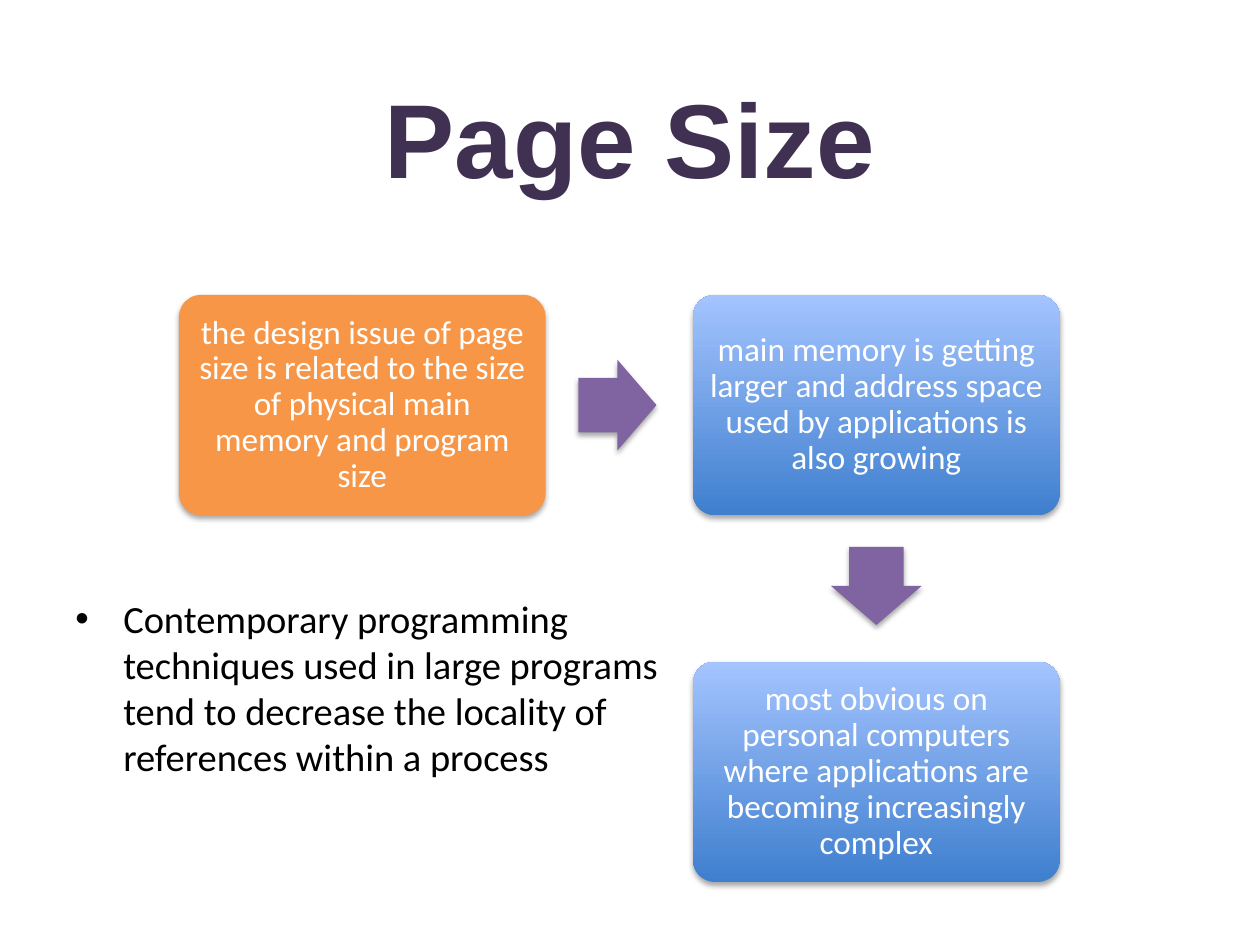
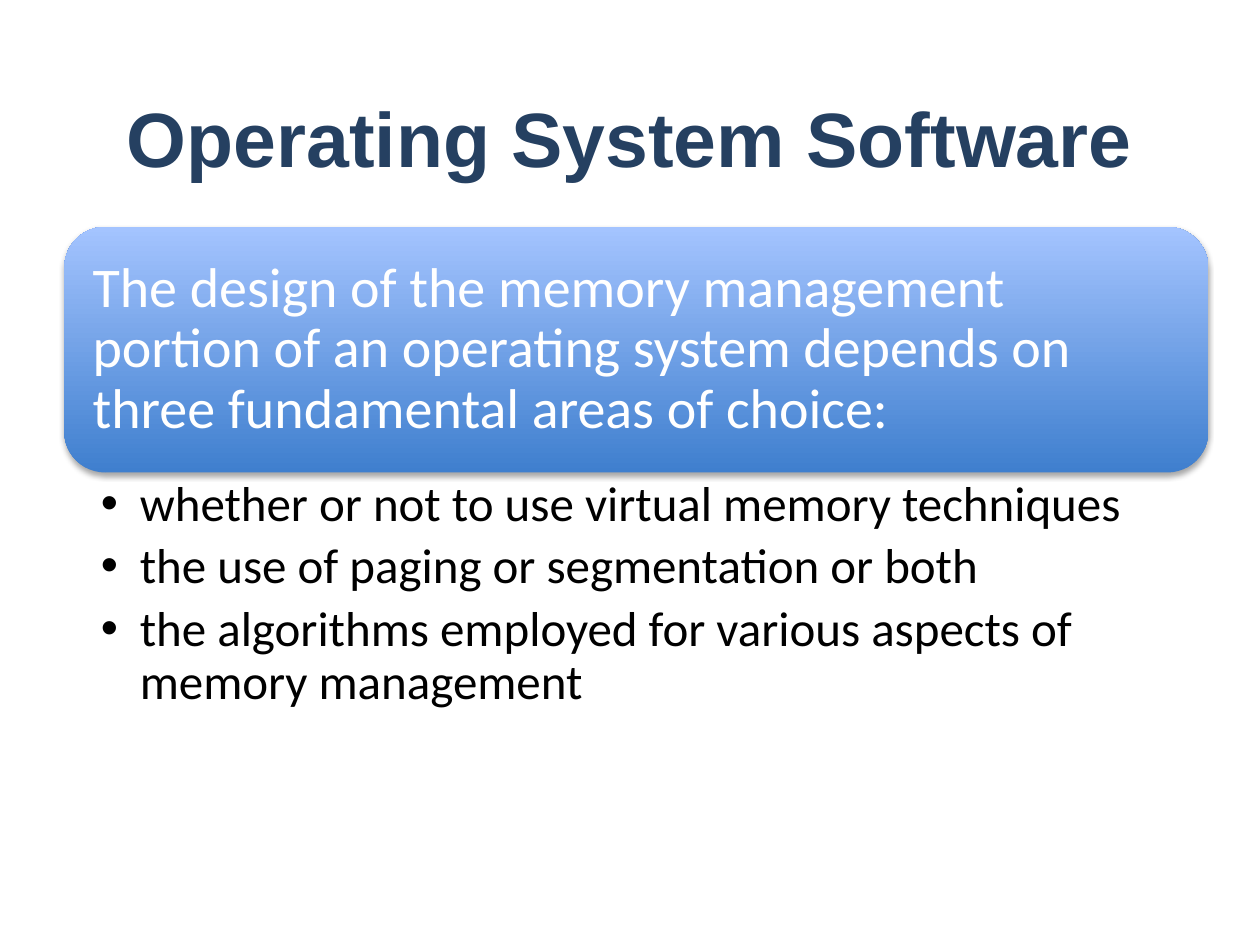
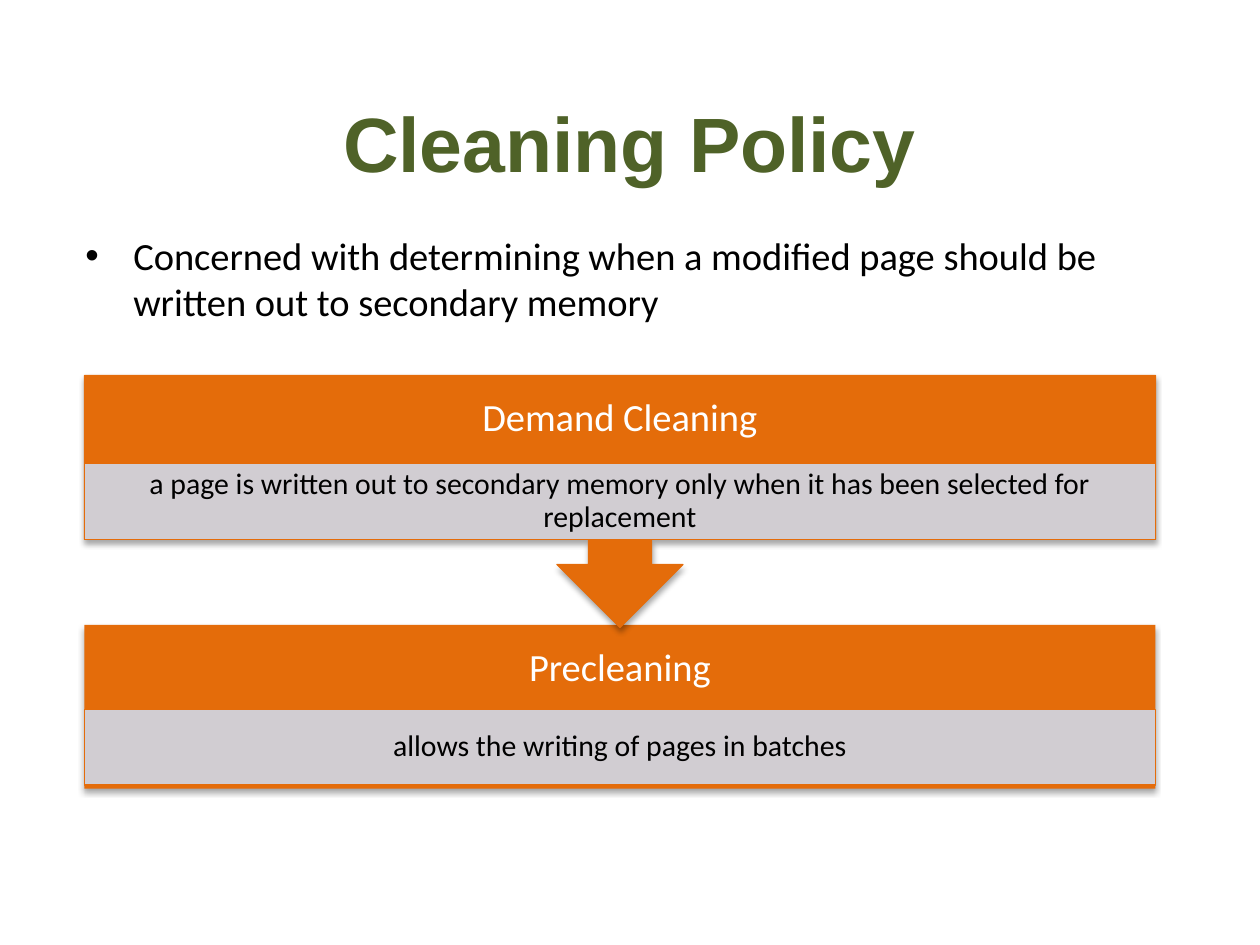
import pptx
import pptx.util
import pptx.dml.color
import pptx.enum.shapes
import pptx.enum.text
import pptx.oxml
import pptx.oxml.ns
from lxml import etree
from dataclasses import dataclass

Inches, Pt = pptx.util.Inches, pptx.util.Pt
qn = pptx.oxml.ns.qn
SHAPE = pptx.enum.shapes.MSO_SHAPE
ALIGN = pptx.enum.text.PP_ALIGN
ANCHOR = pptx.enum.text.MSO_ANCHOR


@dataclass(frozen=True)
class Theme:
    title_font: str = "Arial"
    body_font: str = "Calibri"
    black: str = "000000"
    white: str = "FFFFFF"
    purple: str = "403152"
    navy: str = "254061"
    green: str = "4F6228"
    orange: str = "F79646"
    deep_orange: str = "E46C0A"
    violet: str = "8064A2"
    pale_blue: str = "D0D8E8"
    blue_gradient: tuple = ("3F7FCE", "A4C4FF")
    big_title: int = 60
    title: int = 44
    lead: int = 32
    list_item: int = 28
    body: int = 22
    step: int = 19
    detail: int = 17


T = Theme()

PAGE_SIZE_BULLET = ("Contemporary programming techniques used in large programs "
                    "tend to decrease the locality of references within a process")
# text, fill, column, row
PAGE_SIZE_STEPS = [
    ("the design issue of page size is related to the size of physical main "
     "memory and program size", T.orange, 0, 0),
    ("main memory is getting larger and address space used by applications "
     "is also growing", T.blue_gradient, 1, 0),
    ("most obvious on personal computers where applications are becoming "
     "increasingly complex", T.blue_gradient, 1, 1),
]

OS_LEAD = ("The design of the memory management portion of an operating system "
           "depends on three fundamental areas of choice:")
OS_CHOICES = [
    "whether or not to use virtual memory techniques",
    "the use of paging or segmentation or both",
    "the algorithms employed for various aspects of memory management",
]

CLEANING_BULLET = ("Concerned with determining when a modified page should be "
                   "written out to secondary memory")
DEMAND = ("Demand Cleaning", "a page is written out to secondary memory only when "
          "it has been selected for replacement")
PRECLEANING = ("Precleaning", "allows the writing of pages in batches")


def rgb(color):
    return pptx.dml.color.RGBColor.from_string(color)


def write(shape, paragraphs, size, color=T.black, font=T.body_font, bold=False,
          align=ALIGN.LEFT, anchor=ANCHOR.TOP, insets=(0.1, 0.05, 0.1, 0.05),
          line_spacing=1.0, before=0, after=0, hang=0):
    """Fill a shape with text; hang is the bullet indent in inches, 0 for no bullet."""
    tf = shape.text_frame
    tf.word_wrap = True
    tf.auto_size = pptx.enum.text.MSO_AUTO_SIZE.NONE
    tf.vertical_anchor = anchor
    tf.margin_left, tf.margin_top, tf.margin_right, tf.margin_bottom = map(Inches, insets)
    for i, text in enumerate(paragraphs):
        p = tf.add_paragraph() if i else tf.paragraphs[0]
        p.alignment = align
        p.line_spacing = line_spacing
        p.space_before, p.space_after = Pt(before), Pt(after)
        if hang:
            pPr = p._p.get_or_add_pPr()
            pPr.set("marL", str(Inches(hang)))
            pPr.set("indent", str(-Inches(hang)))
            etree.SubElement(pPr, qn("a:buFont")).set("typeface", "Arial")
            etree.SubElement(pPr, qn("a:buChar")).set("char", "•")
        r = p.add_run()
        r.text = text
        r.font.name, r.font.size, r.font.bold = font, Pt(size), bold
        r.font.color.rgb = rgb(color)


def add_text(s, box, paragraphs, size, **fmt):
    write(s.shapes.add_textbox(*map(Inches, box)), paragraphs, size, **fmt)


def add_titled_slide(prs, title, size, color, box):
    s = prs.slides.add_slide(prs.slide_layouts[5])
    sp = s.shapes.title
    sp.left, sp.top, sp.width, sp.height = map(Inches, box)
    write(sp, [title], size, color=color, font=T.title_font, bold=True,
          align=ALIGN.CENTER, anchor=ANCHOR.MIDDLE)
    return s


def add_block(s, kind, box, fill, line=None, adj=(), rotation=0, shadow=True, opacity=100):
    """Add a preset shape; a pair of colours as fill gives a bottom-to-top gradient."""
    sp = s.shapes.add_shape(kind, *map(Inches, box))
    sp.rotation = rotation
    for i, value in enumerate(adj):
        sp.adjustments[i] = value
    if isinstance(fill, tuple):
        sp.fill.gradient()
        sp.fill.gradient_angle = 90
        for stop, color in zip(sp.fill.gradient_stops, fill):
            stop.color.rgb = rgb(color)
    else:
        sp.fill.solid()
        sp.fill.fore_color.rgb = rgb(fill)
    spPr = sp._element.spPr
    if opacity < 100:
        color_el = spPr.find(qn("a:solidFill")).find(qn("a:srgbClr"))
        etree.SubElement(color_el, qn("a:alpha")).set("val", str(opacity * 1000))
    if line:
        sp.line.color.rgb = rgb(line)
        sp.line.width = Pt(0.75)
    else:
        sp.line.fill.background()
    sp.shadow.inherit = False
    if shadow:
        outer = etree.SubElement(spPr.find(qn("a:effectLst")), qn("a:outerShdw"),
                                 blurRad=str(Pt(3.1)), dist=str(Pt(1.8)),
                                 dir="5400000", rotWithShape="0")
        shade = etree.SubElement(outer, qn("a:srgbClr"), val=T.black)
        etree.SubElement(shade, qn("a:alpha"), val="35000")
    return sp


def build_page_size(prs):
    s = add_titled_slide(prs, "Page Size", T.big_title, T.purple, (0.72, 0.5, 8.56, 1.17))
    add_text(s, (0.5, 4.67, 4.92, 2.25), [PAGE_SIZE_BULLET], T.body,
             before=0.2 * T.body, hang=0.38)
    left, top, width, height = 1.42, 2.34, 2.91, 1.75
    col_step, row_step = 4.08, 2.91
    for text, fill, col, row in PAGE_SIZE_STEPS:
        box = (left + col * col_step, top + row * row_step, width, height)
        sp = add_block(s, SHAPE.ROUNDED_RECTANGLE, box, fill, adj=[0.1])
        write(sp, [text], T.step, color=T.white, align=ALIGN.CENTER,
              anchor=ANCHOR.MIDDLE, insets=[0.08] * 4, line_spacing=0.9)
    arrow_w, arrow_h = 0.62, 0.72
    for x, y, rotation in [(4.9, top + height / 2, 0),
                           (left + col_step + width / 2, 4.65, 90)]:
        add_block(s, SHAPE.RIGHT_ARROW, (x - arrow_w / 2, y - arrow_h / 2, arrow_w, arrow_h),
                  T.violet, adj=[0.6, 0.5], rotation=rotation)


def build_operating_system(prs):
    s = add_titled_slide(prs, "Operating System Software", T.title, T.navy, (0, 0.5, 10, 1.17))
    left, top, width, height = 0.51, 1.8, 9.08, 1.95
    sp = add_block(s, SHAPE.ROUNDED_RECTANGLE, (left, top, width, height), T.blue_gradient)
    write(sp, [OS_LEAD], T.lead, color=T.white, anchor=ANCHOR.MIDDLE,
          insets=[0.13] * 4, line_spacing=0.9)
    add_text(s, (left, top + height + 0.01, width, 3.09), OS_CHOICES, T.list_item,
             insets=(0.29, 0.04, 0.22, 0.04), line_spacing=0.9,
             after=0.2 * T.list_item, hang=0.31)


def build_cleaning_policy(prs):
    s = add_titled_slide(prs, "Cleaning Policy", T.title, T.green, (0.72, 0.5, 8.56, 1.25))
    add_text(s, (0.58, 1.79, 9.17, 1.1), [CLEANING_BULLET], T.body,
             before=0.2 * T.body, hang=0.38)
    left, width, head_h, detail_h = 0.67, 8.5, 0.7, 0.6
    centred = dict(align=ALIGN.CENTER, anchor=ANCHOR.MIDDLE, line_spacing=0.9)
    panels = [
        (PRECLEANING, 4.96, 5.63, 1.3, dict(kind=SHAPE.RECTANGLE)),
        (DEMAND, 2.98, 3.68, 2, dict(kind=SHAPE.UP_ARROW_CALLOUT, rotation=180,
                                     line=T.deep_orange)),
    ]
    for (heading, detail), top, detail_top, height, style in panels:
        add_block(s, box=(left, top, width, height), fill=T.deep_orange, **style)
        add_text(s, (left, top, width, head_h), [heading], T.body, color=T.white,
                 insets=[0.17] * 4, **centred)
        sp = add_block(s, SHAPE.RECTANGLE, (left, detail_top, width, detail_h), T.pale_blue,
                       line=T.deep_orange, shadow=False, opacity=90)
        write(sp, [detail], T.detail, insets=(0.13, 0.02, 0.13, 0.02), **centred)


def main():
    prs = pptx.Presentation()
    prs.slide_width, prs.slide_height = Inches(10), Inches(7.5)
    build_page_size(prs)
    build_operating_system(prs)
    build_cleaning_policy(prs)
    prs.save("out.pptx")


if __name__ == "__main__":
    main()
